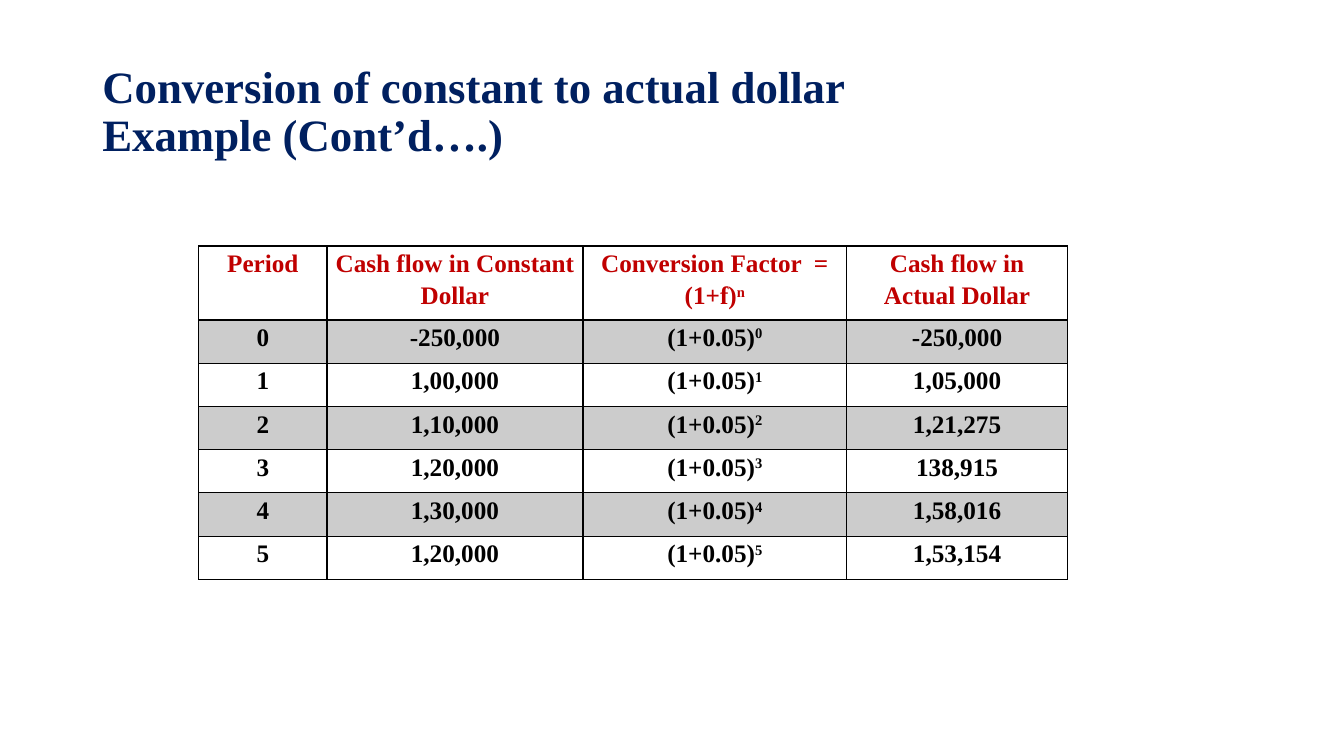
from dataclasses import dataclass

from lxml.etree import SubElement
from pptx import Presentation
from pptx.dml.color import RGBColor
from pptx.enum.text import MSO_ANCHOR, PP_ALIGN
from pptx.oxml.ns import qn
from pptx.util import Cm, Pt


@dataclass(frozen=True)
class Theme:
    font: str = "Times New Roman"
    title_size: int = 32
    table_size: int = 18
    navy: str = "002060"
    red: str = "C00000"
    black: str = "000000"
    band_opacity: int = 20


THEME = Theme()
TITLE = "Conversion of constant to actual dollar Example (Cont’d….)"
# Each cell holds its text and its superscript.
HEADINGS = [
    ("Period", ""),
    ("Cash flow in Constant Dollar", ""),
    ("Conversion Factor  = (1+f)", "n"),
    ("Cash flow in Actual Dollar", ""),
]
CASH_FLOWS = [
    ("-250,000", "-250,000"),
    ("1,00,000", "1,05,000"),
    ("1,10,000", "1,21,275"),
    ("1,20,000", "138,915"),
    ("1,30,000", "1,58,016"),
    ("1,20,000", "1,53,154"),
]
COLUMN_WIDTHS = [Cm(3.23), Cm(6.45), Cm(6.65), Cm(5.56)]
HEADING_HEIGHT = Cm(1.86)
ROW_HEIGHT = Cm(1.09)


def write_text(frame, text, *, size, color, superscript="",
               align=PP_ALIGN.LEFT, spacing=1.0):
    para = frame.paragraphs[0]
    para.alignment = align
    para.line_spacing = spacing
    for content, baseline in ((text, 0), (superscript, 30000)):
        if not content:
            continue
        span = para.add_run()
        span.text = content
        span.font.name = THEME.font
        span.font.size = Pt(size)
        span.font.bold = True
        span.font.color.rgb = RGBColor.from_string(color)
        if baseline:
            span._r.get_or_add_rPr().set("baseline", str(baseline))


def add_title(page):
    box = page.shapes.add_textbox(Cm(2.33), Cm(1.01), Cm(22.25), Cm(3.68))
    frame = box.text_frame
    frame.word_wrap = True
    frame.vertical_anchor = MSO_ANCHOR.MIDDLE
    write_text(frame, TITLE, size=THEME.title_size, color=THEME.navy, spacing=0.9)


def set_borders(cell, bottom_width):
    properties = cell._tc.get_or_add_tcPr()
    for side, width in (("L", 1), ("R", 1), ("T", 1), ("B", bottom_width)):
        line = SubElement(properties, qn(f"a:ln{side}"), w=str(Pt(width)))
        fill = SubElement(line, qn("a:solidFill"))
        SubElement(fill, qn("a:srgbClr"), val=THEME.black)


def set_band(cell, shaded):
    if not shaded:
        cell.fill.background()
        return
    cell.fill.solid()
    cell.fill.fore_color.rgb = RGBColor.from_string(THEME.black)
    color = cell._tc.tcPr.find(qn("a:solidFill")).find(qn("a:srgbClr"))
    SubElement(color, qn("a:alpha"), val=str(THEME.band_opacity * 1000))


def fill_cell(cell, text, superscript, *, heading, shaded):
    cell.margin_left = cell.margin_right = Cm(0.19)
    cell.margin_top = cell.margin_bottom = 0
    set_borders(cell, bottom_width=2 if heading else 1)
    set_band(cell, shaded)
    write_text(cell.text_frame, text, superscript=superscript,
               size=THEME.table_size, color=THEME.red if heading else THEME.black,
               align=PP_ALIGN.CENTER, spacing=1.15)


def add_cash_flow_table(page):
    rows = [HEADINGS]
    for period, (constant, actual) in enumerate(CASH_FLOWS):
        rows.append([(str(period), ""), (constant, ""),
                     ("(1+0.05)", str(period)), (actual, "")])
    height = HEADING_HEIGHT + ROW_HEIGHT * len(CASH_FLOWS)
    table = page.shapes.add_table(len(rows), len(HEADINGS), Cm(5.01), Cm(6.2),
                                  sum(COLUMN_WIDTHS), height).table
    table.first_row = table.horz_banding = False
    for column, width in zip(table.columns, COLUMN_WIDTHS):
        column.width = width
    for index, row in enumerate(rows):
        table.rows[index].height = ROW_HEIGHT if index else HEADING_HEIGHT
        for cell, (text, superscript) in zip(table.rows[index].cells, row):
            fill_cell(cell, text, superscript,
                      heading=index == 0, shaded=index % 2 == 1)


def main():
    deck = Presentation()
    deck.slide_width, deck.slide_height = Cm(33.87), Cm(19.05)
    page = deck.slides.add_slide(deck.slide_layouts[6])
    add_cash_flow_table(page)
    add_title(page)
    deck.save("out.pptx")


if __name__ == "__main__":
    main()
